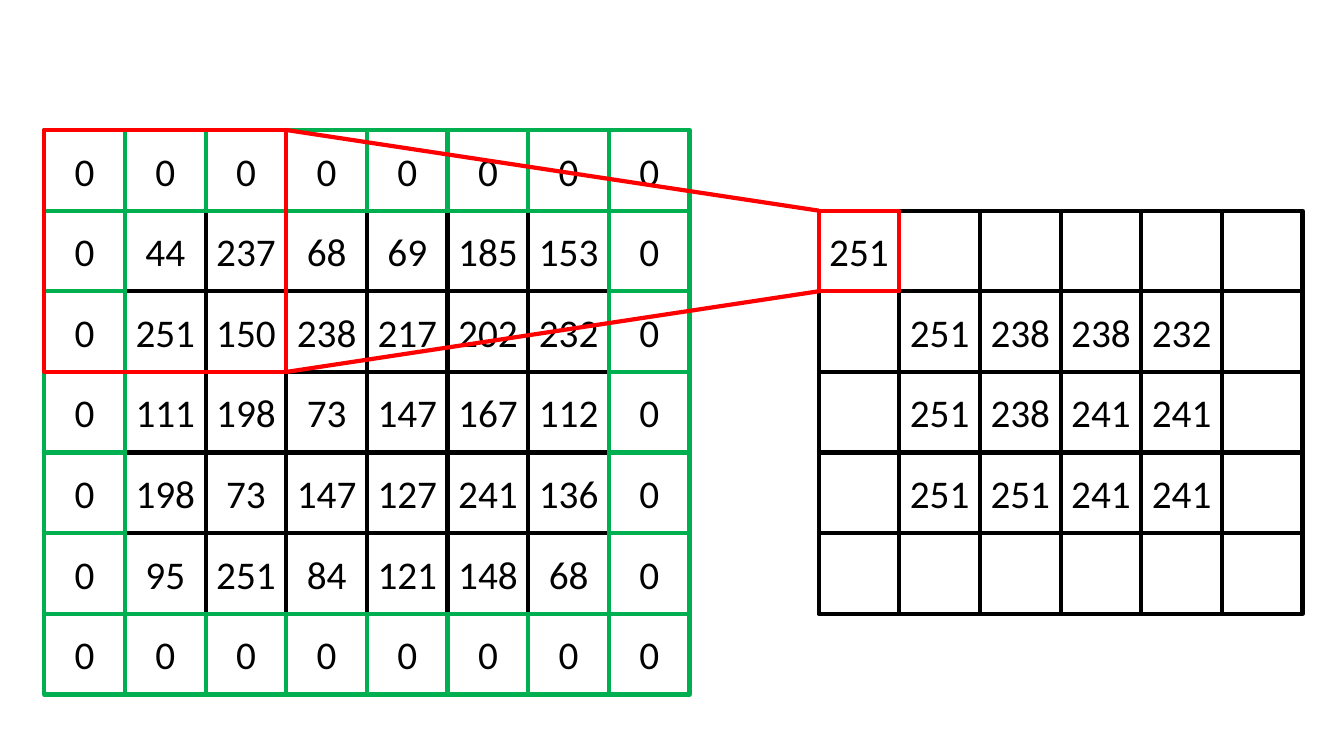
from itertools import product

from lxml.etree import SubElement
from pptx import Presentation
from pptx.dml.color import RGBColor
from pptx.enum.shapes import MSO_CONNECTOR, MSO_SHAPE
from pptx.enum.text import MSO_ANCHOR, PP_ALIGN
from pptx.oxml.ns import qn
from pptx.util import Inches, Pt

BLACK = RGBColor(0, 0, 0)
GREEN = RGBColor(0, 176, 80)
RED = RGBColor(255, 0, 0)

CELL = 0.8
KERNEL = 3
STROKE = Pt(3)

PIXELS = [
    [44, 237, 68, 69, 185, 153],
    [251, 150, 238, 217, 202, 232],
    [111, 198, 73, 147, 167, 112],
    [198, 73, 147, 127, 241, 136],
    [95, 251, 84, 121, 148, 68],
]
MAXIMA = [
    [251, "", "", "", "", ""],
    ["", 251, 238, 238, 232, ""],
    ["", 251, 238, 241, 241, ""],
    ["", 251, 251, 241, 241, ""],
    ["", "", "", "", "", ""],
]


def write_text(shape, text, size=28, color=BLACK, font="Calibri", align=PP_ALIGN.CENTER):
    frame = shape.text_frame
    frame.word_wrap = True
    frame.vertical_anchor = MSO_ANCHOR.MIDDLE
    frame.margin_left = frame.margin_right = Inches(0.05)
    paragraph = frame.paragraphs[0]
    paragraph.alignment = align
    run = paragraph.add_run()
    run.text = text
    run.font.size = Pt(size)
    run.font.name = font
    run.font.color.rgb = color


def add_square(shapes, left, top, side, color, text=""):
    square = shapes.add_shape(
        MSO_SHAPE.RECTANGLE, Inches(left), Inches(top), Inches(side), Inches(side)
    )
    square.shadow.inherit = False
    square.fill.background()
    square.line.color.rgb = color
    square.line.width = STROKE
    if text:
        write_text(square, text)


def add_ray(shapes, start, end):
    ray = shapes.add_connector(
        MSO_CONNECTOR.STRAIGHT, *(Inches(length) for length in (*start, *end))
    )
    ray.line.color.rgb = RED
    ray.line.width = STROKE
    SubElement(ray._element.spPr, qn("a:effectLst"))


def draw_matrix(slide, left, top, values):
    cells = slide.shapes.add_group_shape().shapes
    for row, numbers in enumerate(values):
        for column, number in enumerate(numbers):
            add_square(
                cells, left + column * CELL, top + row * CELL, CELL, BLACK, str(number)
            )


def draw_zero_padding(slide, left, top, rows, columns):
    for row, column in product(range(rows), range(columns)):
        if row in (0, rows - 1) or column in (0, columns - 1):
            add_square(
                slide.shapes, left + column * CELL, top + row * CELL, CELL, GREEN, "0"
            )


def draw_filter_window(slide, left, top, target_left, target_top):
    window = slide.shapes.add_group_shape().shapes
    side = KERNEL * CELL
    add_square(window, target_left, target_top, CELL, RED)
    add_square(window, left, top, side, RED)
    for window_drop, target_drop in ((0, 0), (side, CELL)):
        add_ray(
            window,
            (left + side, top + window_drop),
            (target_left, target_top + target_drop),
        )


def main():
    presentation = Presentation()
    presentation.slide_width = Inches(13.33)
    presentation.slide_height = Inches(7.5)
    slide = presentation.slides.add_slide(presentation.slide_layouts[6])

    padded_left, padded_top = 0.44, 1.29
    pixels_top = padded_top + CELL
    maxima_left = 8.12
    draw_matrix(slide, padded_left + CELL, pixels_top, PIXELS)
    draw_matrix(slide, maxima_left, pixels_top, MAXIMA)
    draw_zero_padding(
        slide, padded_left, padded_top, len(PIXELS) + 2, len(PIXELS[0]) + 2
    )
    draw_filter_window(slide, padded_left, padded_top, maxima_left, pixels_top)
    presentation.save("out.pptx")


if __name__ == "__main__":
    main()
